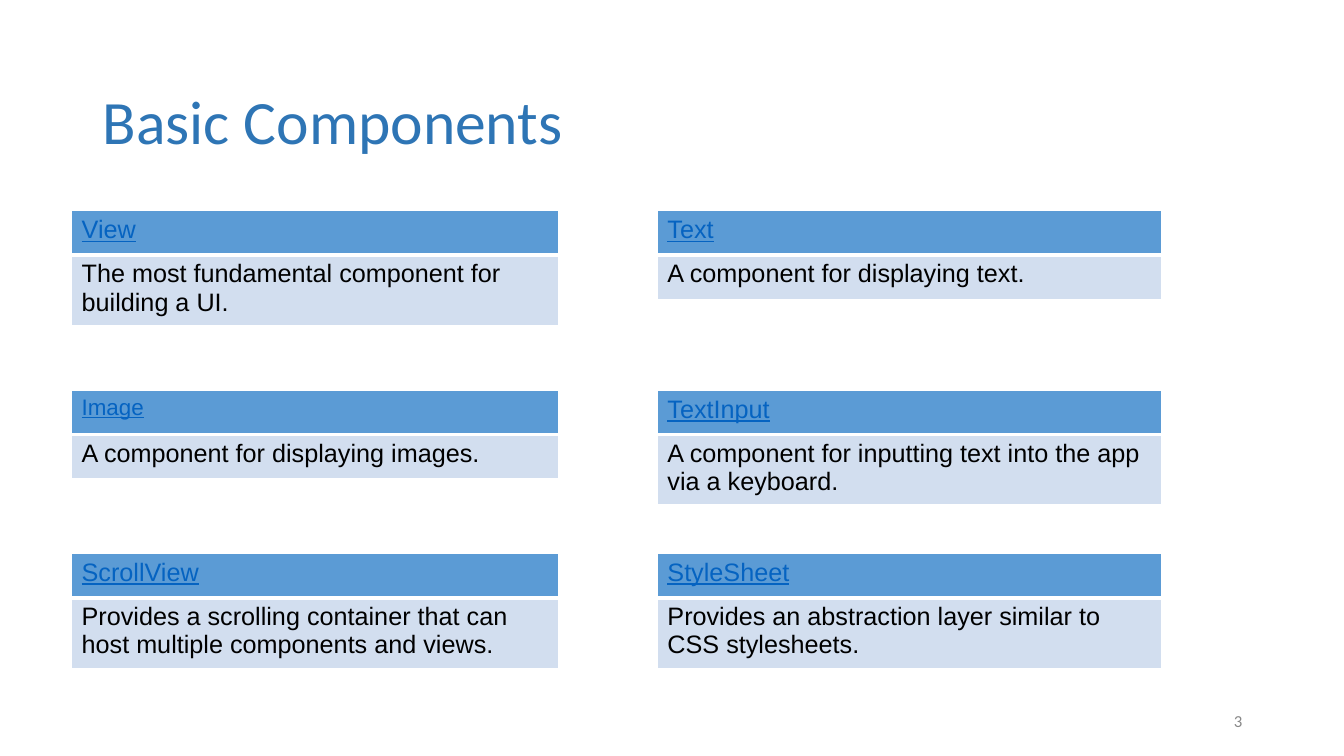
from lxml import etree
from pptx import Presentation
from pptx.dml.color import RGBColor
from pptx.enum.text import MSO_ANCHOR, PP_ALIGN
from pptx.oxml.ns import qn
from pptx.util import Inches, Pt

MIDDLE = MSO_ANCHOR.MIDDLE
LEFT, RIGHT = PP_ALIGN.LEFT, PP_ALIGN.RIGHT
BLANK_LAYOUT = 6

COLORS = {
    "title": "2E75B5",
    "number": "888888",
    "header": "5B9BD5",
    "body": "D2DEEF",
    "link": "0563C1",
    "text": "000000",
    "border": "FFFFFF",
}
COLUMNS = [(0.71, 4.83), (6.52, 5)]
ROW_TOPS = [2.09, 3.87, 5.49]
CELL_HEIGHT = 0.44
COMPONENTS = [
    [("View", 18, "The most fundamental component for building a UI."),
     ("Text", 18, "A component for displaying text.")],
    [("Image", 16, "A component for displaying images."),
     ("TextInput", 18, "A component for inputting text into the app via a keyboard.")],
    [("ScrollView", 18, "Provides a scrolling container that can host multiple components and views."),
     ("StyleSheet", 18, "Provides an abstraction layer similar to CSS stylesheets.")],
]


def add_run(paragraph, text, size, font_name, color, underline=False):
    run = paragraph.add_run()
    run.text = text
    run.font.size = Pt(size)
    run.font.name = font_name
    run.font.bold = False
    run.font.underline = underline
    run.font.color.rgb = RGBColor.from_string(COLORS[color])


def add_label(slide, box, text, size, color, alignment=LEFT, line_spacing=1.0):
    shape = slide.shapes.add_textbox(*map(Inches, box))
    frame = shape.text_frame
    frame.word_wrap = True
    frame.vertical_anchor = MIDDLE
    paragraph = frame.paragraphs[0]
    paragraph.alignment = alignment
    paragraph.line_spacing = line_spacing
    add_run(paragraph, text, size, "Calibri", color)


def add_borders(cell, top, bottom):
    properties = cell._tc.get_or_add_tcPr()
    for side, width in (("L", 1), ("R", 1), ("T", top), ("B", bottom)):
        line = etree.SubElement(properties, qn(f"a:ln{side}"), w=str(Pt(width)))
        fill = etree.SubElement(line, qn("a:solidFill"))
        etree.SubElement(fill, qn("a:srgbClr"), val=COLORS["border"])


def fill_cell(cell, color, top, bottom):
    add_borders(cell, top, bottom)
    cell.fill.solid()
    cell.fill.fore_color.rgb = RGBColor.from_string(COLORS[color])


def add_component(slide, left, top, width, name, name_size, description):
    box = (left, top, width, 2 * CELL_HEIGHT)
    table = slide.shapes.add_table(2, 1, *map(Inches, box)).table
    table.first_row = False
    table.horz_banding = False
    header, body = table.cell(0, 0), table.cell(1, 0)
    fill_cell(header, "header", 1, 3)
    fill_cell(body, "body", 3, 1)
    add_run(header.text_frame.paragraphs[0], name, name_size, "Arial", "link", True)
    add_run(body.text_frame.paragraphs[0], description, 18, "Arial", "text")


def add_component_grid(slide):
    for top, components in zip(ROW_TOPS, COMPONENTS):
        for (left, width), component in zip(COLUMNS, components):
            add_component(slide, left, top, width, *component)


def main():
    presentation = Presentation()
    presentation.slide_width = Inches(13.33)
    presentation.slide_height = Inches(7.5)
    slide = presentation.slides.add_slide(presentation.slide_layouts[BLANK_LAYOUT])
    add_label(slide, (0.92, 0.61, 11.5, 1.25), "Basic Components", 44, "title", line_spacing=0.9)
    add_label(slide, (9.42, 6.95, 3, 0.4), "3", 12, "number", RIGHT)
    add_component_grid(slide)
    presentation.save("out.pptx")


if __name__ == "__main__":
    main()
